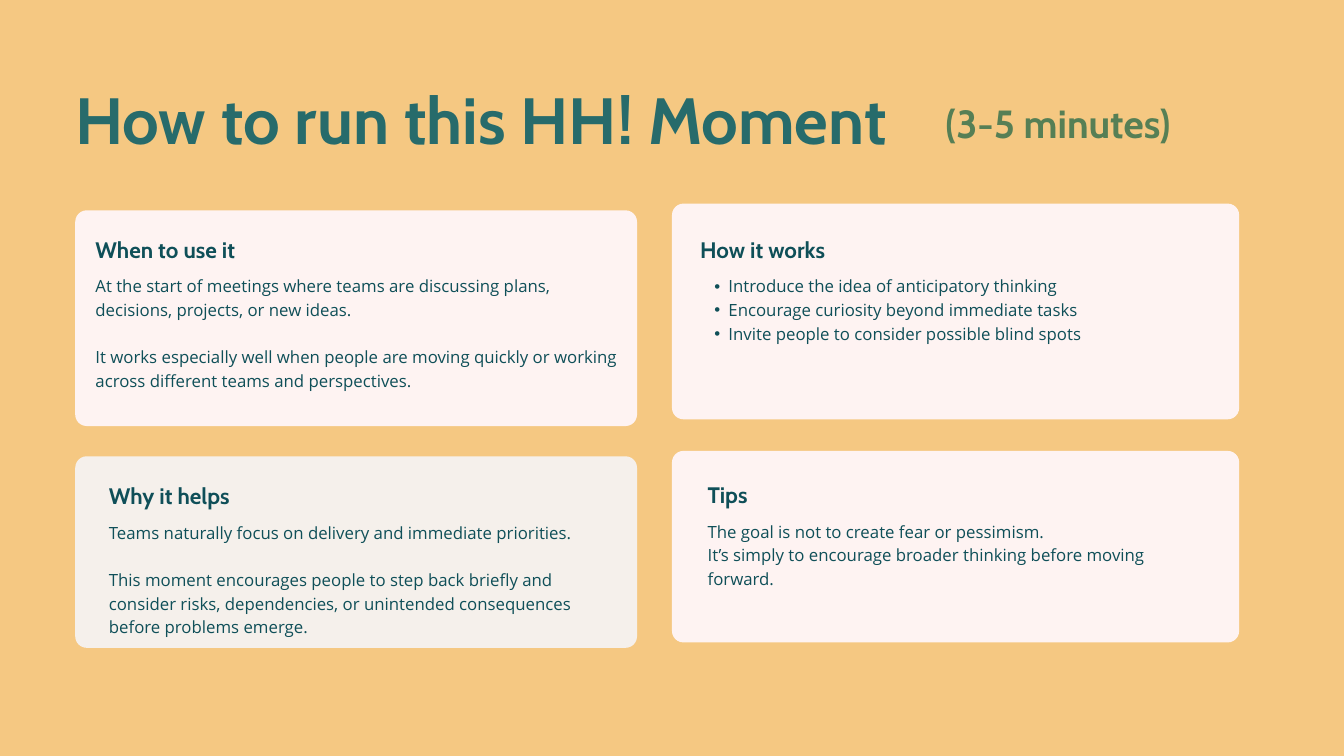
from lxml import etree
from pptx import Presentation
from pptx.dml.color import RGBColor
from pptx.enum.shapes import MSO_SHAPE
from pptx.enum.text import MSO_ANCHOR, MSO_AUTO_SIZE, PP_ALIGN
from pptx.oxml.ns import qn
from pptx.util import Inches, Pt

ROUNDED = MSO_SHAPE.ROUNDED_RECTANGLE
TOP = MSO_ANCHOR.TOP
NO_AUTOFIT = MSO_AUTO_SIZE.NONE
LEFT = PP_ALIGN.LEFT

COMPARISON_LAYOUT = 4
HEADING_FONT, BODY_FONT = "Cabin", "Open Sans"
INK, TEAL, GREEN = "0F4F58", "276B6B", "567F55"
SAND, BLUSH, IVORY = "F5C882", "FEF3F2", "F5F0EB"
LINE_RATIO = 1.4
CORNER_RADIUS = 0.17
HEADING_HEIGHT = 0.44
BODY_OFFSET = 0.62  # from the top of a heading to the top of its body

# Card box, fill, heading position, body size, heading, paragraphs, bulleted, gap
CARDS = [
    ((1.12, 3.13, 8.36, 3.21), BLUSH, (1.42, 3.44), (7.83, 1.7), "When to use it",
     ["At the start of meetings where teams are discussing plans, decisions, "
      "projects, or new ideas.",
      "It works especially well when people are moving quickly or working across "
      "different teams and perspectives."], False, True),
    ((10, 3.03, 8.44, 3.21), BLUSH, (10.42, 3.44), (7.91, 1.01), "How it works",
     ["Introduce the idea of anticipatory thinking",
      "Encourage curiosity beyond immediate tasks",
      "Invite people to consider possible blind spots"], True, False),
    ((1.12, 6.79, 8.36, 2.85), IVORY, (1.62, 7.11), (7.38, 2.04), "Why it helps",
     ["Teams naturally focus on delivery and immediate priorities.",
      "This moment encourages people to step back briefly and consider risks, "
      "dependencies, or unintended consequences before problems emerge."],
     False, True),
    ((10, 6.71, 8.44, 2.85), BLUSH, (10.53, 7.09), (7.38, 1.36), "Tips",
     ["The goal is not to create fear or pessimism.",
      "It’s simply to encourage broader thinking before moving forward."],
     False, False),
]


def color(hex_string):
    return RGBColor.from_string(hex_string)


def set_bullet(paragraph, bulleted):
    properties = paragraph._p.get_or_add_pPr()
    properties.set("marL", str(Inches(0.42 if bulleted else 0)))
    properties.set("indent", str(Inches(-0.21 if bulleted else 0)))
    if bulleted:
        etree.SubElement(properties, qn("a:buFont")).set("typeface", "Arial")
        etree.SubElement(properties, qn("a:buChar")).set("char", "•")
    else:
        etree.SubElement(properties, qn("a:buNone"))


def write(shape, box, lines, size, font, ink, bold=False, bulleted=False, gap=False):
    """Place a text shape in its box and fill it with formatted paragraphs."""
    shape.left, shape.top, shape.width, shape.height = map(Inches, box)
    frame = shape.text_frame
    frame.margin_left = frame.margin_top = frame.margin_right = frame.margin_bottom = 0
    frame.word_wrap = True
    frame.auto_size = NO_AUTOFIT
    frame.vertical_anchor = TOP
    frame.text = "\n".join(lines)
    for index, paragraph in enumerate(frame.paragraphs):
        set_bullet(paragraph, bulleted)
        paragraph.alignment = LEFT
        paragraph.line_spacing = Pt(size * LINE_RATIO)
        paragraph.space_before = Pt(size * LINE_RATIO if gap and index else 0)
        for run in paragraph.runs:
            run.font.size = Pt(size)
            run.font.name = font
            run.font.bold = bold
            run.font.color.rgb = color(ink)


def add_header(slide, box):
    """Title on the left, duration on the right."""
    left, top, width, height = box
    write(slide.shapes.title, (left, top, 13.1, height),
          ["How to run this HH! Moment"], 70, HEADING_FONT, TEAL, bold=True)
    duration_width = 4.8
    duration = slide.shapes.add_textbox(0, 0, 0, 0)
    write(duration, (left + width - duration_width, top + 0.38, duration_width, 0.78),
          ["(3-5 minutes)"], 42, HEADING_FONT, GREEN, bold=True)


def add_card(slide, box, fill, heading_at, body_size, heading, lines, bulleted, gap,
             text_placeholder):
    """Rounded panel with a heading box and a body placeholder on top."""
    panel = slide.shapes.add_shape(ROUNDED, *map(Inches, box))
    panel.adjustments[0] = CORNER_RADIUS / min(box[2:])
    panel.shadow.inherit = False
    panel.fill.solid()
    panel.fill.fore_color.rgb = color(fill)
    panel.line.fill.background()

    left, top = heading_at
    heading_box = slide.shapes.add_textbox(0, 0, 0, 0)
    write(heading_box, (left, top, 2.56, HEADING_HEIGHT), [heading], 24,
          HEADING_FONT, INK, bold=True)

    # Bring the body in front of its panel
    slide.shapes._spTree.append(text_placeholder._element)
    write(text_placeholder, (left, top + BODY_OFFSET, *body_size), lines, 18,
          BODY_FONT, INK, bulleted=bulleted, gap=gap)


def main():
    presentation = Presentation()
    presentation.slide_width = Inches(20)
    presentation.slide_height = Inches(11.25)
    slide = presentation.slides.add_slide(
        presentation.slide_layouts[COMPARISON_LAYOUT])
    slide.background.fill.solid()
    slide.background.fill.fore_color.rgb = color(SAND)

    add_header(slide, (1.12, 0.98, 17.75, 1.31))
    bodies = [shape for shape in slide.placeholders
              if shape.placeholder_format.idx in (1, 2, 3, 4)]
    for card, body in zip(CARDS, bodies):
        add_card(slide, *card, body)

    presentation.save("out.pptx")


if __name__ == "__main__":
    main()
